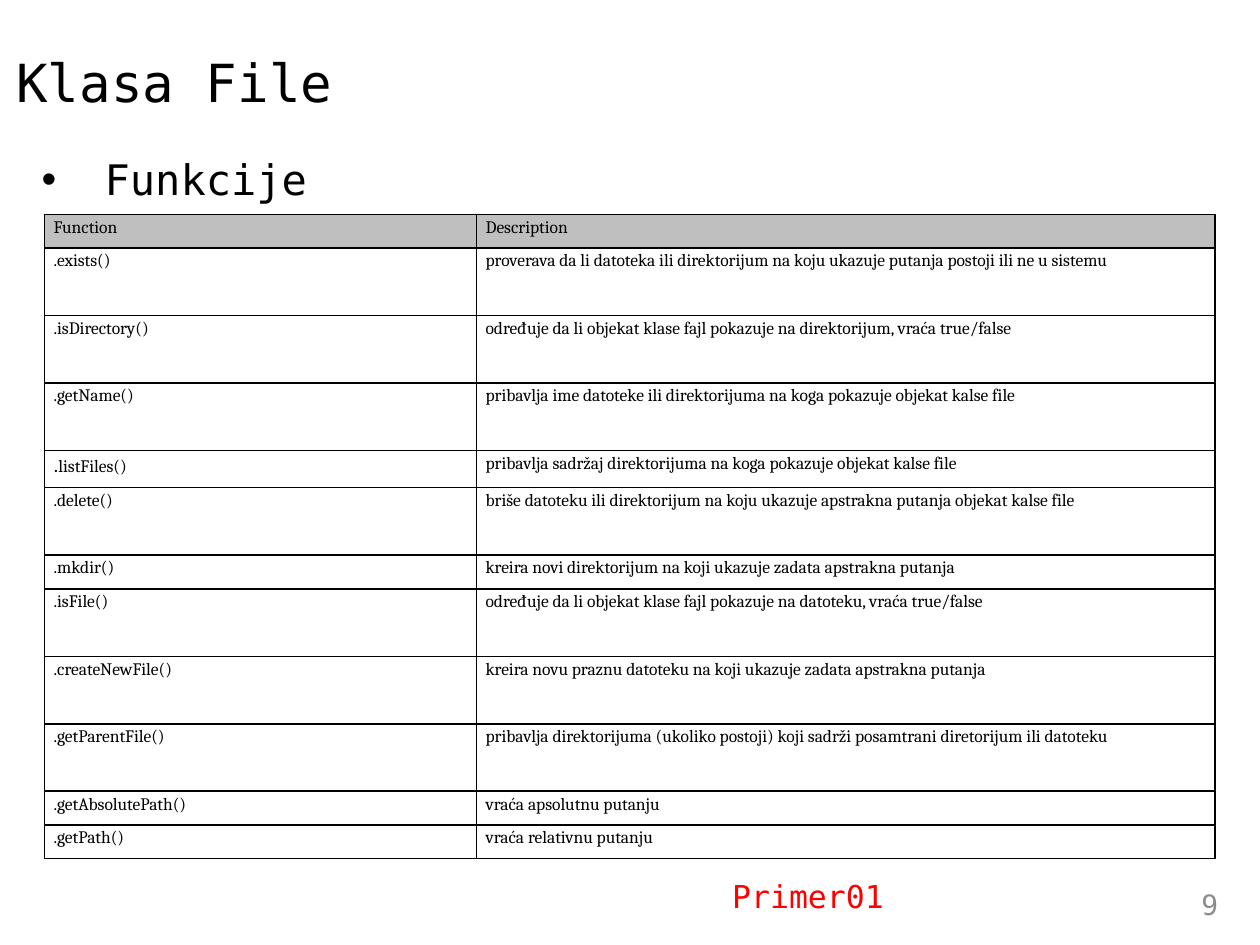
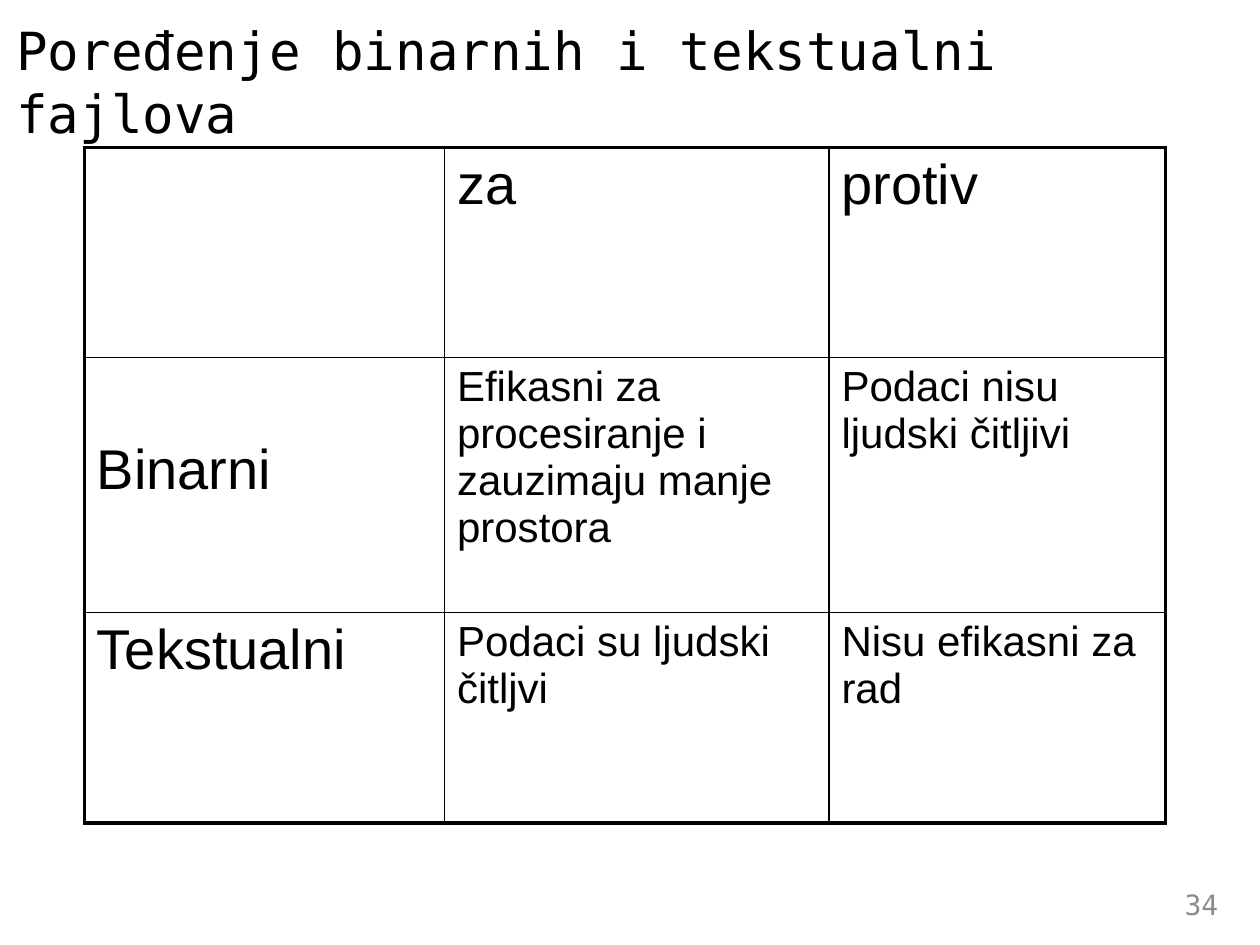
from lxml.etree import SubElement
from pptx import Presentation
from pptx.dml.color import RGBColor
from pptx.enum.text import MSO_ANCHOR, MSO_AUTO_SIZE, PP_ALIGN
from pptx.oxml.ns import qn
from pptx.util import Cm, Pt

BLACK, RED, GREY, HEADER_FILL = "000000", "FF0000", "8C8C8C", "BFBFBF"
MONO = "DejaVu Sans Mono"
TITLE_FORMAT = {"name": MONO, "size": Pt(30), "color": BLACK}
BULLET_FORMAT = {"name": MONO, "size": Pt(24), "color": BLACK}
NUMBER_FORMAT = {"name": MONO, "size": Pt(16), "color": GREY}
EXAMPLE_FORMAT = {"name": MONO, "size": Pt(18), "color": RED}
FUNCTION_FORMAT = {"name": "Cambria", "size": Pt(10), "color": BLACK}
DOT_FORMAT = {"name": "Calibri", "size": Pt(11), "color": BLACK}
HEADING_FORMAT = {"name": "Arial", "size": Pt(32), "color": BLACK}
ARGUMENT_FORMAT = {"name": "Arial", "size": Pt(24), "color": BLACK}

TITLE_BOX = (0, 0.53, 25.4, 2.21)
NUMBER_BOX = (23.29, 17.73, 1.6, 1.02)
FRAME_FORMAT = {
    "margin_left": Cm(0.33), "margin_right": Cm(0.33),
    "margin_top": Cm(0.18), "margin_bottom": Cm(0.18),
    "word_wrap": True, "auto_size": MSO_AUTO_SIZE.NONE,
}
FUNCTION_CELL_FORMAT = {
    "margin_left": Cm(0.18), "margin_right": Cm(0.18),
    "margin_top": 0, "margin_bottom": 0,
}
THIN, THICK = Pt(1), Pt(2.25)
LOW_ROW, DOT_ROW, HIGH_ROW = 0.68, 0.75, 1.36

# Name, description and row height
FUNCTIONS = [
    ("Function", "Description", LOW_ROW),
    (".exists()", "proverava da li datoteka ili direktorijum na koju ukazuje "
     "putanja postoji ili ne u sistemu", HIGH_ROW),
    (".isDirectory()", "određuje da li objekat klase fajl pokazuje na "
     "direktorijum, vraća true/false", HIGH_ROW),
    (".getName()", "pribavlja ime datoteke ili direktorijuma na koga pokazuje "
     "objekat kalse file", HIGH_ROW),
    (".listFiles()", "pribavlja sadržaj direktorijuma na koga pokazuje objekat "
     "kalse file", DOT_ROW),
    (".delete()", "briše datoteku ili direktorijum na koju ukazuje apstrakna "
     "putanja objekat kalse file", HIGH_ROW),
    (".mkdir()", "kreira novi direktorijum na koji ukazuje zadata apstrakna "
     "putanja", LOW_ROW),
    (".isFile()", "određuje da li objekat klase fajl pokazuje na datoteku, "
     "vraća true/false", HIGH_ROW),
    (".createNewFile()", "kreira novu praznu datoteku na koji ukazuje zadata "
     "apstrakna putanja", HIGH_ROW),
    (".getParentFile()", "pribavlja direktorijuma (ukoliko postoji) koji sadrži "
     "posamtrani diretorijum ili datoteku", HIGH_ROW),
    (".getAbsolutePath()", "vraća apsolutnu putanju", LOW_ROW),
    (".getPath()", "vraća relativnu putanju", LOW_ROW),
]
COMPARISON = [
    ("", "za", "protiv"),
    ("Binarni", "Efikasni za procesiranje i zauzimaju manje prostora",
     "Podaci nisu ljudski čitljivi"),
    ("Tekstualni", "Podaci su ljudski čitljvi", "Nisu efikasni za rad"),
]


def color(value):
    return RGBColor.from_string(value)


def apply(target, values):
    """Set each named attribute of the target."""
    for name, value in values.items():
        setattr(target, name, value)


def add_span(para, text, style):
    span = para.add_run()
    span.text = text
    for name, value in style.items():
        if name == "color":
            span.font.color.rgb = color(value)
        else:
            setattr(span.font, name, value)


def place(shape, box):
    apply(shape, dict(zip(("left", "top", "width", "height"), map(Cm, box))))


def write_frame(shape, text, style, align=PP_ALIGN.LEFT, anchor=MSO_ANCHOR.MIDDLE):
    """Fill a shape with one formatted paragraph and return it."""
    frame = shape.text_frame
    apply(frame, FRAME_FORMAT)
    frame.vertical_anchor = anchor
    para = frame.paragraphs[0]
    para.alignment = align
    add_span(para, text, style)
    return para


def add_text(page, box, *content, **layout):
    write_frame(page.shapes.add_textbox(*map(Cm, box)), *content, **layout)


def add_page(deck, layout_index, title, number):
    page = deck.slides.add_slide(deck.slide_layouts[layout_index])
    place(page.shapes.title, TITLE_BOX)
    write_frame(page.shapes.title, title, TITLE_FORMAT)
    add_text(page, NUMBER_BOX, number, NUMBER_FORMAT, align=PP_ALIGN.RIGHT)
    return page


def add_bullet(page, box, text):
    body = page.placeholders[1]
    place(body, box)
    para = write_frame(body, text, BULLET_FORMAT, anchor=MSO_ANCHOR.TOP)
    properties = para._p.get_or_add_pPr()
    properties.set("marL", str(Cm(1.27)))
    properties.set("indent", str(-Cm(1.27)))


def add_plain_table(page, left, top, widths, heights):
    """Add a table without the banded style."""
    frame = page.shapes.add_table(
        len(heights), len(widths), Cm(left), Cm(top), Cm(sum(widths)), Cm(sum(heights)))
    table = frame.table
    apply(table, {"first_row": False, "horz_banding": False})
    for column, width in zip(table.columns, widths):
        column.width = Cm(width)
    for row, height in zip(table.rows, heights):
        row.height = Cm(height)
    return table


def finish_cell(cell, borders, fill=None):
    """Draw the left, right, top and bottom borders, then the fill."""
    properties = cell._tc.get_or_add_tcPr()
    for side, width in zip("LRTB", borders):
        line = SubElement(properties, qn(f"a:ln{side}"), w=str(width))
        solid = SubElement(line, qn("a:solidFill"))
        SubElement(solid, qn("a:srgbClr"), val=BLACK)
    if fill:
        cell.fill.solid()
        cell.fill.fore_color.rgb = color(fill)
    else:
        cell.fill.background()


def add_function_table(page, left, top):
    heights = [height for *_, height in FUNCTIONS]
    table = add_plain_table(page, left, top, (8.71, 14.88), heights)
    for row, (*texts, height) in enumerate(FUNCTIONS):
        for column, text in enumerate(texts):
            cell = table.cell(row, column)
            apply(cell, FUNCTION_CELL_FORMAT)
            para = cell.text_frame.paragraphs[0]
            para.line_spacing = 1.15
            if height == DOT_ROW and column == 0:
                add_span(para, text[0], DOT_FORMAT)
                text = text[1:]
            add_span(para, text, FUNCTION_FORMAT)
            finish_cell(cell, [THIN] * 4, HEADER_FILL if row == 0 else None)


def add_comparison_table(page, left, top):
    table = add_plain_table(page, left, top, (7.26, 7.75, 6.78), (4.24, 5.14, 4.24))
    last = len(COMPARISON) - 1
    for row, texts in enumerate(COMPARISON):
        for column, text in enumerate(texts):
            cell = table.cell(row, column)
            is_heading = row == 0 or column == 0
            if text:
                add_span(cell.text_frame.paragraphs[0], text,
                         HEADING_FORMAT if is_heading else ARGUMENT_FORMAT)
            edges = (column == 0, column == last, row == 0, row == last)
            finish_cell(cell, [THICK if edge else THIN for edge in edges])
    table.cell(1, 0).margin_top = Cm(1.64)


def build_functions_page(deck):
    page = add_page(deck, 1, "Klasa File", "9")
    add_bullet(page, (0.51, 2.92, 24.4, 15.8), "Funkcije")
    add_text(page, (14.43, 17.53, 3.9, 1.07), "Primer01", EXAMPLE_FORMAT)
    add_function_table(page, 0.9, 4.32)


def build_comparison_page(deck):
    page = add_page(deck, 5, "Poređenje binarnih i tekstualni fajlova", "34")
    add_comparison_table(page, 1.7, 2.97)


def main():
    deck = Presentation()
    apply(deck, {"slide_width": Cm(25.4), "slide_height": Cm(19.05)})
    build_functions_page(deck)
    build_comparison_page(deck)
    deck.save("out.pptx")


if __name__ == "__main__":
    main()
